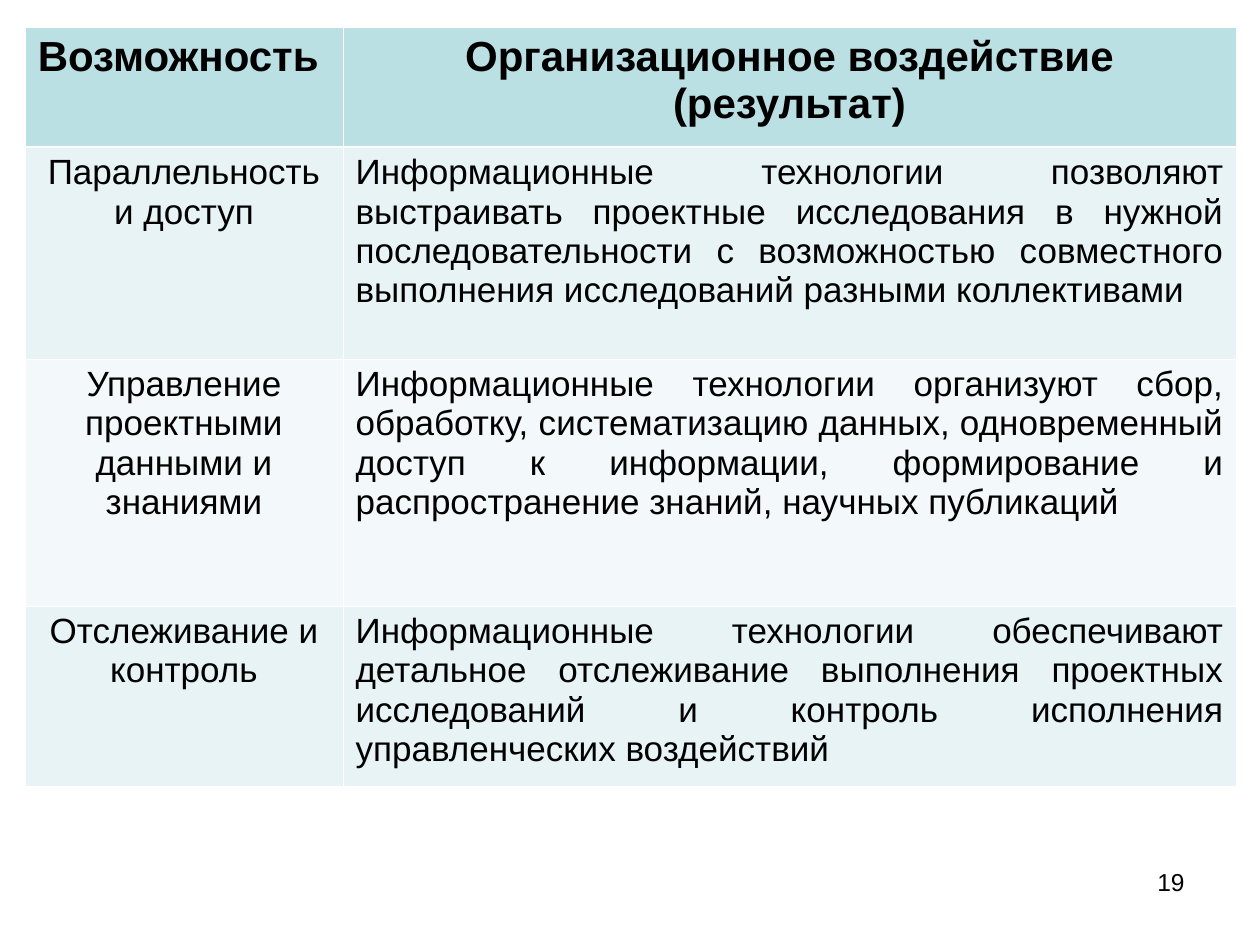
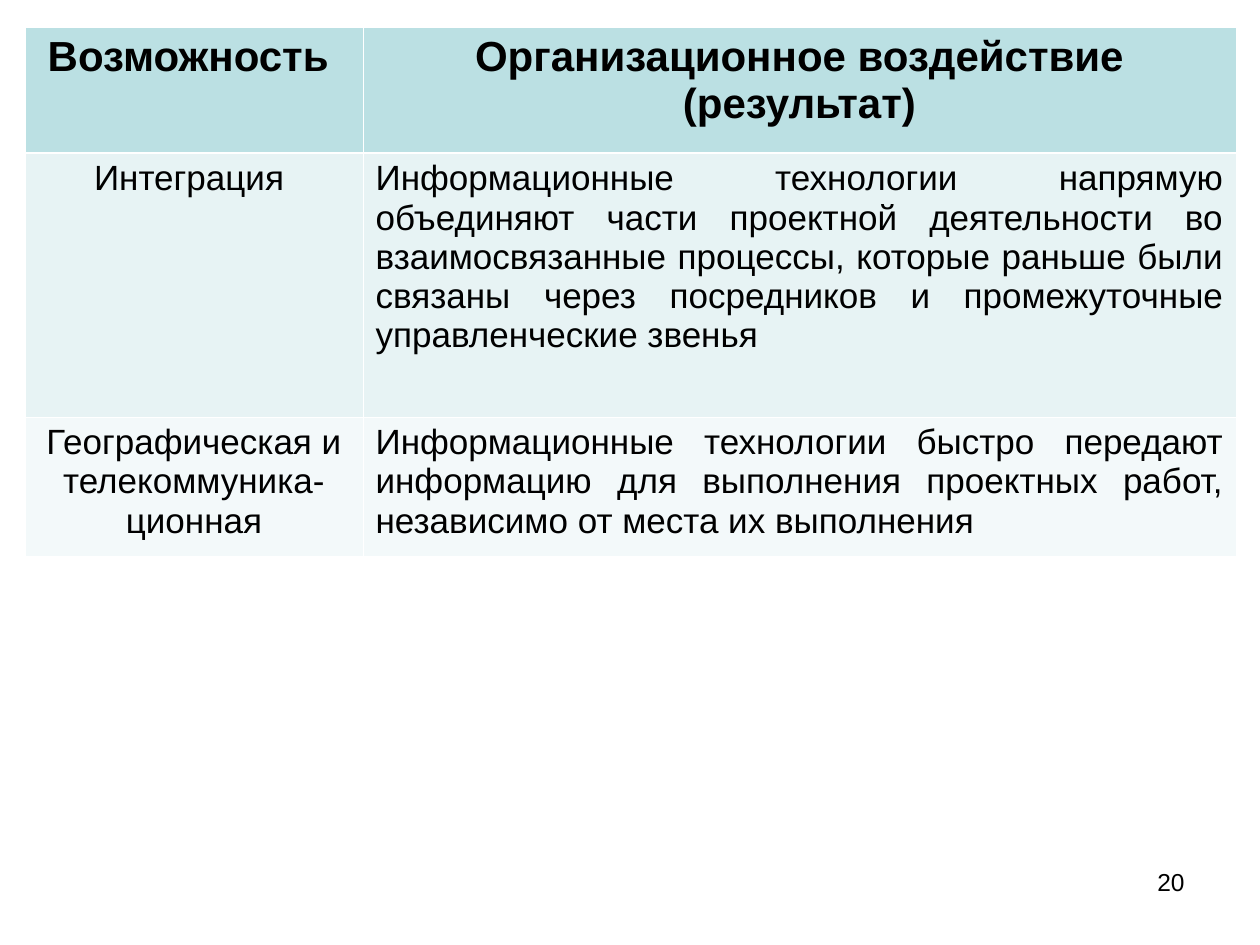
import pptx
import pptx.util
import pptx.dml.color
import pptx.enum.text
import pptx.oxml.ns
import lxml.etree

COLORS = {"text": "000000", "border": "FFFFFF", "header": "BBE0E3",
          "odd_row": "E7F3F4", "even_row": "F3F9FA"}
FONT = "Arial"
THIN, THICK = 0.45, 1.47
ALIGN = pptx.enum.text.PP_ALIGN
HEADER = ("Возможность ", "Организационное воздействие (результат)")

PAGES = [
    {
        "number": "19",
        "columns": (318, 893),
        "heights": (120, 212, 247, 173),
        "rows": [
            ("Параллельность и доступ",
             "Информационные технологии позволяют выстраивать проектные исследования "
             "в нужной последовательности с возможностью совместного выполнения "
             "исследований разными коллективами"),
            ("Управление проектными данными и знаниями",
             "Информационные технологии организуют сбор, обработку, систематизацию "
             "данных, одновременный доступ к информации, формирование и "
             "распространение знаний, научных публикаций"),
            ("Отслеживание и контроль",
             "Информационные технологии обеспечивают детальное отслеживание "
             "выполнения проектных исследований и контроль исполнения "
             "управленческих воздействий"),
        ],
    },
    {
        "number": "20",
        "columns": (338, 873),
        "heights": (126, 264, 139),
        "rows": [
            ("Интеграция ",
             "Информационные технологии напрямую объединяют части проектной "
             "деятельности во взаимосвязанные процессы, которые раньше были связаны "
             "через посредников и промежуточные управленческие звенья"),
            ("Географическая и телекоммуника-ционная",
             "Информационные технологии быстро передают информацию для выполнения "
             "проектных работ, независимо от места их выполнения"),
        ],
    },
]


def px(count):
    return pptx.util.Emu(round(count * 914400 / 126))


def write_text(text_frame, text, size, alignment, bold=False):
    text_frame.word_wrap = True
    paragraph = text_frame.paragraphs[0]
    paragraph.alignment = alignment
    run = paragraph.add_run()
    run.text = text
    run.font.name = FONT
    run.font.size = pptx.util.Pt(size)
    run.font.bold = bold
    run.font.color.rgb = pptx.dml.color.RGBColor.from_string(COLORS["text"])


presentation = pptx.Presentation()
presentation.slide_width = px(1260)
presentation.slide_height = px(945)

for page in PAGES:
    slide = presentation.slides.add_slide(presentation.slide_layouts[6])

    number_box = slide.shapes.add_textbox(px(903), px(861), px(294), px(65))
    write_text(number_box.text_frame, page["number"], 14, ALIGN.RIGHT)

    rows = [HEADER] + page["rows"]
    table = slide.shapes.add_table(
        len(rows), len(HEADER), px(25), px(27),
        px(sum(page["columns"])), px(sum(page["heights"]))).table
    for column, width in zip(table.columns, page["columns"]):
        column.width = px(width)
    for row, height in zip(table.rows, page["heights"]):
        row.height = px(height)

    for row_index, texts in enumerate(rows):
        is_header = row_index == 0
        fill_name = "header" if is_header else ("even_row", "odd_row")[row_index % 2]
        borders = {"lnL": THIN, "lnR": THIN,
                   "lnT": THICK if row_index == 1 else THIN,
                   "lnB": THICK if is_header else THIN}
        for column_index, text in enumerate(texts):
            cell = table.cell(row_index, column_index)
            justified = column_index == 1 and not is_header
            write_text(cell.text_frame, text, 24 if is_header else 20,
                       ALIGN.JUSTIFY if justified else ALIGN.CENTER, is_header)
            cell.fill.solid()
            cell.fill.fore_color.rgb = pptx.dml.color.RGBColor.from_string(COLORS[fill_name])
            properties = cell._tc.get_or_add_tcPr()
            for position, (side, width) in enumerate(borders.items()):
                line = lxml.etree.Element(pptx.oxml.ns.qn("a:" + side),
                                          w=str(pptx.util.Pt(width)))
                solid = lxml.etree.SubElement(line, pptx.oxml.ns.qn("a:solidFill"))
                lxml.etree.SubElement(solid, pptx.oxml.ns.qn("a:srgbClr"),
                                      val=COLORS["border"])
                properties.insert(position, line)

presentation.save("out.pptx")
